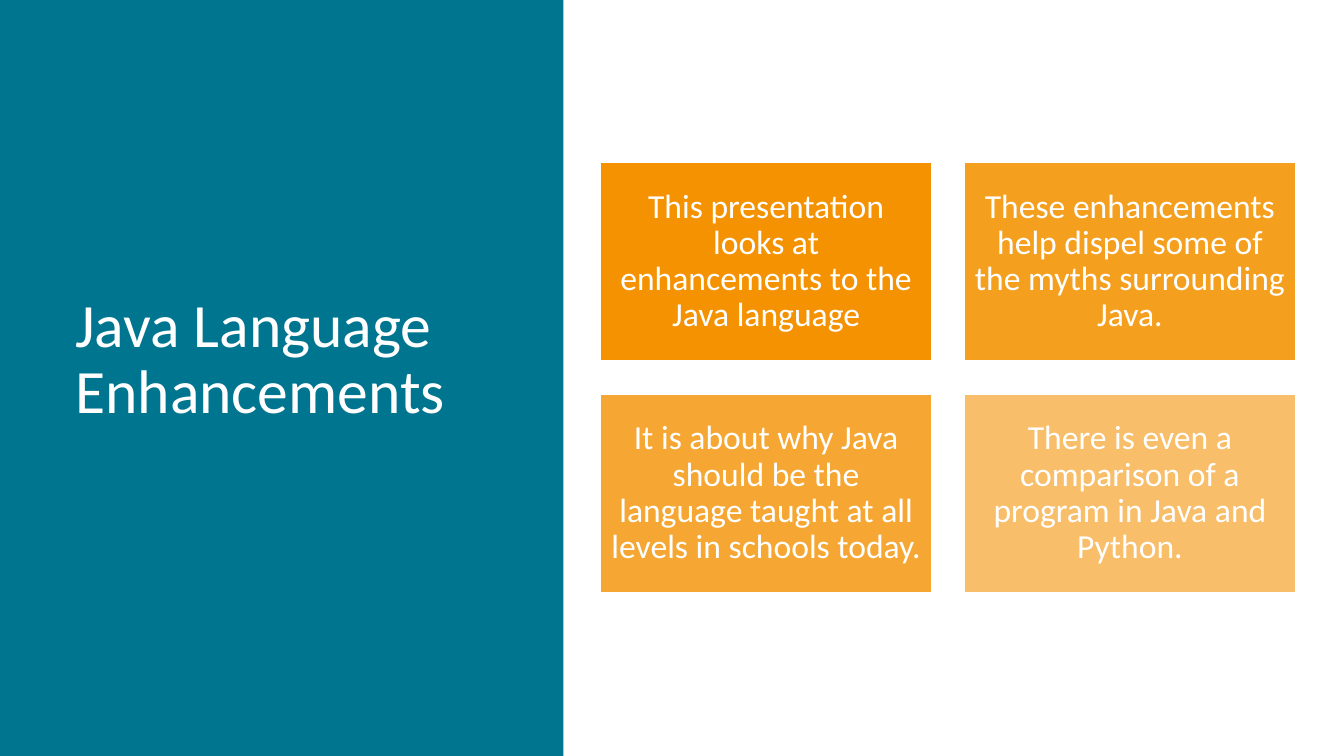
import dataclasses

import lxml.etree
import pptx
import pptx.dml.color
import pptx.enum.shapes
import pptx.enum.text
import pptx.oxml.ns
import pptx.shapes.autoshape
import pptx.slide
import pptx.util

Pt = pptx.util.Pt
RGBColor = pptx.dml.color.RGBColor
Align = pptx.enum.text.PP_ALIGN

TEAL = RGBColor(0x00, 0x75, 0x90)
ORANGE = RGBColor(0xF4, 0x92, 0x01)
WHITE = RGBColor(0xFF, 0xFF, 0xFF)
FONT = "Calibri"

PAGE_WIDTH, PAGE_HEIGHT = 960, 540
PANEL_WIDTH = 402.5
GRID_LEFT, GRID_TOP = 429.1, 116
CARD_WIDTH, CARD_HEIGHT = 236.2, 141.8
CARD_GAP = 23.7
COLUMNS = 2


@dataclasses.dataclass(frozen=True)
class Card:
    """One message and the opacity of its fill, in percent."""

    text: str
    opacity: int


CARDS = [
    Card("This presentation looks at enhancements to the Java language", 100),
    Card("These enhancements help dispel some of the myths surrounding Java.", 88),
    Card("It is about why Java should be the language taught at all levels in schools today.", 80),
    Card("There is even a comparison of a program in Java and Python.", 59),
]


def write_text(
    box: pptx.shapes.autoshape.Shape, text: str, *, size: float, align: Align, inset: float
) -> None:
    """Write one vertically centred white paragraph into a box."""
    frame = box.text_frame
    frame.word_wrap = True
    frame.vertical_anchor = pptx.enum.text.MSO_ANCHOR.MIDDLE
    frame.margin_left = frame.margin_right = Pt(7.2)
    frame.margin_top = frame.margin_bottom = Pt(inset)
    para = frame.paragraphs[0]
    para.alignment = align
    para.line_spacing = 0.9
    span = para.add_run()
    span.text = text
    span.font.name = FONT
    span.font.size = Pt(size)
    span.font.color.rgb = WHITE


def add_rectangle(
    page: pptx.slide.Slide, left: float, top: float, width: float, height: float, color: RGBColor
) -> pptx.shapes.autoshape.Shape:
    """Add a flat rectangle without an outline."""
    box = page.shapes.add_shape(
        pptx.enum.shapes.MSO_SHAPE.RECTANGLE, Pt(left), Pt(top), Pt(width), Pt(height)
    )
    box.shadow.inherit = False
    box.fill.solid()
    box.fill.fore_color.rgb = color
    box.line.fill.background()
    return box


def set_opacity(box: pptx.shapes.autoshape.Shape, percent: int) -> None:
    """Make the solid fill of a box partly transparent."""
    qn = pptx.oxml.ns.qn
    color = box.element.spPr.find(f"{qn('a:solidFill')}/{qn('a:srgbClr')}")
    lxml.etree.SubElement(color, qn("a:alpha")).set("val", str(percent * 1000))


def add_card(page: pptx.slide.Slide, card: Card, index: int) -> None:
    """Draw a card at its place in the grid."""
    row, column = divmod(index, COLUMNS)
    left = GRID_LEFT + column * (CARD_WIDTH + CARD_GAP)
    top = GRID_TOP + row * (CARD_HEIGHT + CARD_GAP)
    box = add_rectangle(page, left, top, CARD_WIDTH, CARD_HEIGHT, ORANGE)
    box.line.color.rgb = WHITE
    box.line.width = Pt(1)
    if card.opacity < 100:
        set_opacity(box, card.opacity)
    write_text(box, card.text, size=24, align=Align.CENTER, inset=7.2)


def main() -> None:
    """Build and save the deck."""
    deck = pptx.Presentation()
    deck.slide_width, deck.slide_height = Pt(PAGE_WIDTH), Pt(PAGE_HEIGHT)
    page = deck.slides.add_slide(deck.slide_layouts[6])
    for index, card in enumerate(CARDS):
        add_card(page, card, index)
    add_rectangle(page, 0, 0, PANEL_WIDTH, PAGE_HEIGHT, TEAL)
    title = page.shapes.add_textbox(Pt(46.8), Pt(50.4), Pt(299.5), Pt(414))
    write_text(title, "Java Language Enhancements", size=44, align=Align.LEFT, inset=3.6)
    deck.save("out.pptx")


main()
